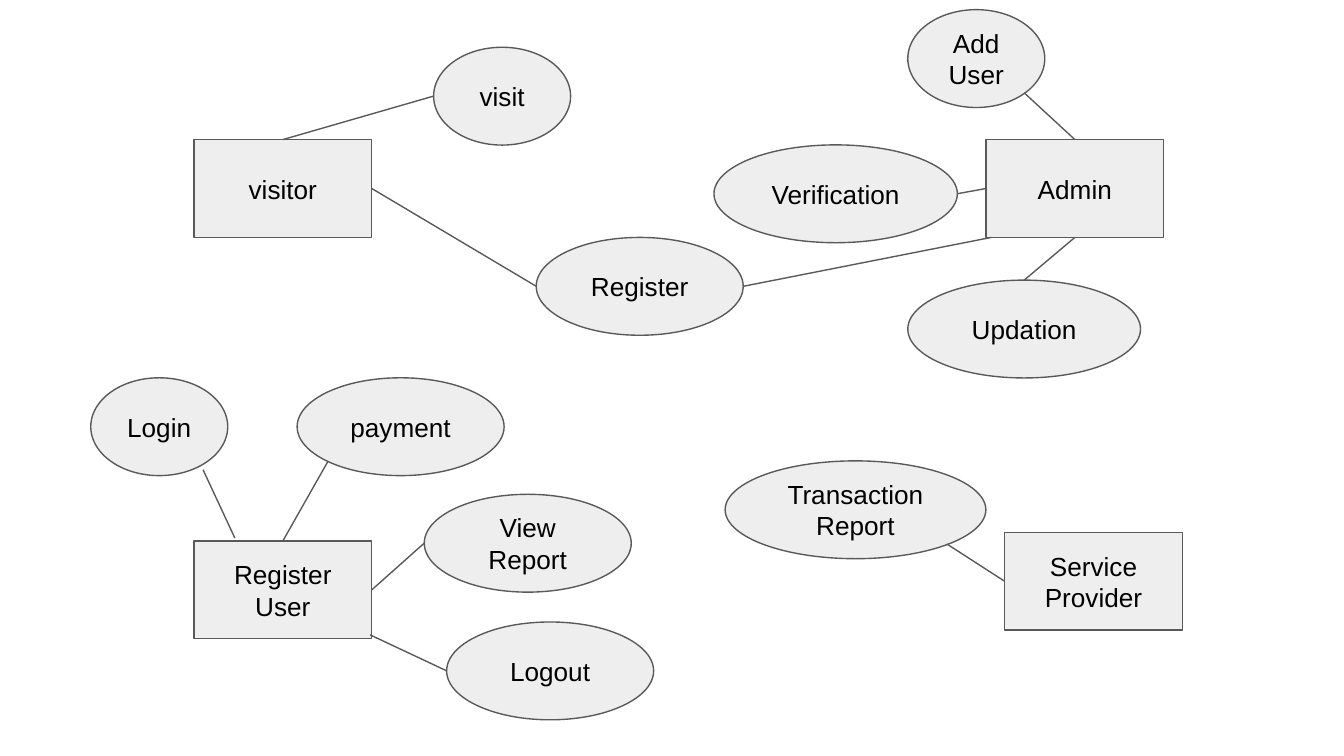
"""Build a slide with an entity and action diagram of a user system."""
from typing import NamedTuple

from lxml import etree
from pptx import Presentation
from pptx.dml.color import RGBColor
from pptx.enum.shapes import MSO_CONNECTOR, MSO_SHAPE
from pptx.enum.text import MSO_ANCHOR, PP_ALIGN
from pptx.oxml.ns import qn
from pptx.slide import Slide
from pptx.util import Pt

RECTANGLE = MSO_SHAPE.RECTANGLE
OVAL = MSO_SHAPE.OVAL
STRAIGHT = MSO_CONNECTOR.STRAIGHT
MIDDLE = MSO_ANCHOR.MIDDLE
CENTER = PP_ALIGN.CENTER

FILL = RGBColor(0xEE, 0xEE, 0xEE)
OUTLINE = RGBColor(0x59, 0x59, 0x59)
TEXT = RGBColor(0x00, 0x00, 0x00)

LINE_WIDTH = 0.75
INSET = 7.2
NODE_HEIGHT = 52.4
ENTITY_WIDTH = 95.3
SMALL = 73.4
MEDIUM = 110.9

TOP, BOTTOM = (0.5, 0), (0.5, 1)
LEFT, RIGHT = (0, 0.5), (1, 0.5)
OVAL_LOWER_LEFT, OVAL_LOWER_RIGHT = (0.15, 0.85), (0.85, 0.85)


class Node(NamedTuple):
    """A labelled box or oval, in points."""

    label: str
    left: float
    top: float
    width: float = ENTITY_WIDTH
    kind: MSO_SHAPE = RECTANGLE

    def point(self, site: tuple[float, float]) -> tuple[Pt, Pt]:
        """Return the place of a site given as fractions of the node."""
        across, down = site
        return Pt(self.left + across * self.width), Pt(self.top + down * NODE_HEIGHT)


class Link(NamedTuple):
    """A line between sites on two nodes."""

    start: Node
    start_site: tuple[float, float]
    end: Node
    end_site: tuple[float, float]


VISITOR = Node("visitor", 103.9, 74.8)
ADMIN = Node("Admin", 528.2, 74.8)
PROVIDER = Node("Service Provider", 538.2, 285.2)
REGISTER_USER = Node("Register User", 103.9, 289.8)
VERIFICATION = Node("Verification", 382.5, 77.6, 130.4, OVAL)
ADD_USER = Node("Add User", 486.3, 5.2, SMALL, OVAL)
UPDATION = Node("Updation", 486.3, 150.1, 124.7, OVAL)
TRANSACTION = Node("Transaction Report", 388.5, 246.9, 139.7, OVAL)
VISIT = Node("visit", 232.3, 25.3, SMALL, OVAL)
LOGIN = Node("Login", 48.6, 202.4, SMALL, OVAL)
VIEW_REPORT = Node("View Report", 227.3, 264.8, MEDIUM, OVAL)
LOGOUT = Node("Logout", 239.3, 333.2, MEDIUM, OVAL)
PAYMENT = Node("payment", 159.2, 202.4, MEDIUM, OVAL)
REGISTER = Node("Register", 287.3, 127.2, MEDIUM, OVAL)

NODES = [
    VISITOR, ADMIN, PROVIDER, REGISTER_USER, VERIFICATION, ADD_USER, UPDATION,
    TRANSACTION, VISIT, LOGIN, VIEW_REPORT, LOGOUT, PAYMENT, REGISTER,
]

LINKS = [
    Link(VISITOR, TOP, VISIT, LEFT),
    Link(VISITOR, RIGHT, REGISTER, LEFT),
    Link(ADD_USER, OVAL_LOWER_RIGHT, ADMIN, TOP),
    Link(VERIFICATION, RIGHT, ADMIN, LEFT),
    Link(UPDATION, TOP, ADMIN, BOTTOM),
    Link(LOGIN, (0.82, 0.94), REGISTER_USER, (0.23, -0.03)),
    Link(REGISTER_USER, TOP, PAYMENT, OVAL_LOWER_LEFT),
    Link(REGISTER_USER, RIGHT, VIEW_REPORT, LEFT),
    Link(REGISTER_USER, (0.99, 0.96), LOGOUT, LEFT),
    Link(TRANSACTION, OVAL_LOWER_RIGHT, PROVIDER, LEFT),
    Link(REGISTER, RIGHT, ADMIN, (0.03, 1)),
]


def draw_node(slide: Slide, node: Node) -> None:
    """Draw a node with its centred label."""
    shape = slide.shapes.add_shape(
        node.kind, Pt(node.left), Pt(node.top), Pt(node.width), Pt(NODE_HEIGHT)
    )
    shape.shadow.inherit = False
    shape.fill.solid()
    shape.fill.fore_color.rgb = FILL
    shape.line.color.rgb = OUTLINE
    shape.line.width = Pt(LINE_WIDTH)
    frame = shape.text_frame
    frame.word_wrap = True
    frame.vertical_anchor = MIDDLE
    frame.margin_left = frame.margin_right = Pt(INSET)
    frame.margin_top = frame.margin_bottom = Pt(INSET)
    paragraph = frame.paragraphs[0]
    paragraph.text = node.label
    paragraph.alignment = CENTER
    paragraph.font.name = "Arial"
    paragraph.font.size = Pt(14)
    paragraph.font.color.rgb = TEXT


def draw_link(slide: Slide, link: Link) -> None:
    """Draw a straight line between two nodes."""
    connector = slide.shapes.add_connector(
        STRAIGHT, *link.start.point(link.start_site), *link.end.point(link.end_site)
    )
    connector.line.color.rgb = OUTLINE
    connector.line.width = Pt(LINE_WIDTH)
    etree.SubElement(connector._element.spPr, qn("a:effectLst"))


def main() -> None:
    """Build and save the presentation."""
    presentation = Presentation()
    presentation.slide_width = Pt(720)
    presentation.slide_height = Pt(405)
    slide = presentation.slides.add_slide(presentation.slide_layouts[6])
    for node in NODES:
        draw_node(slide, node)
    for link in LINKS:
        draw_link(slide, link)
    presentation.save("out.pptx")


main()
